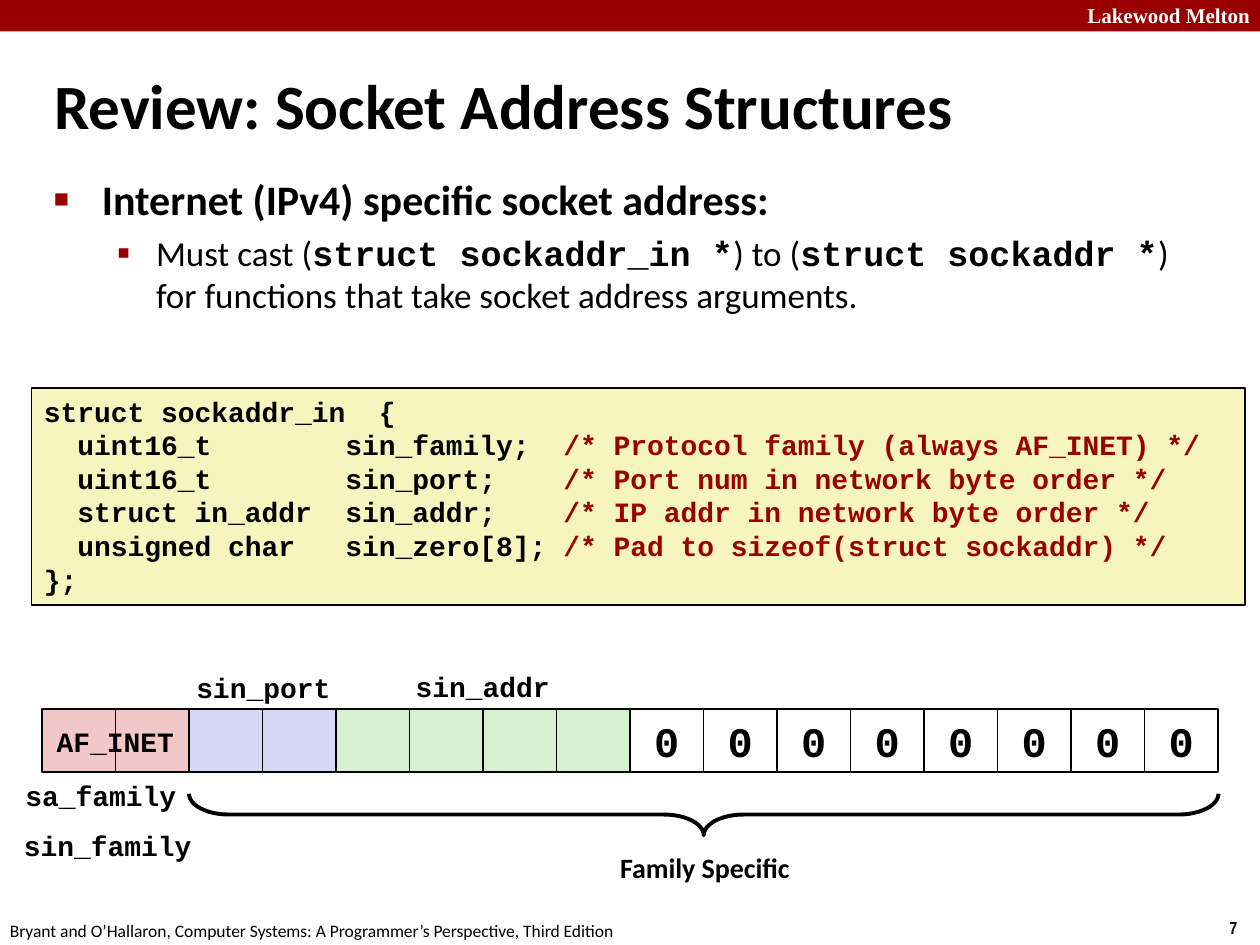
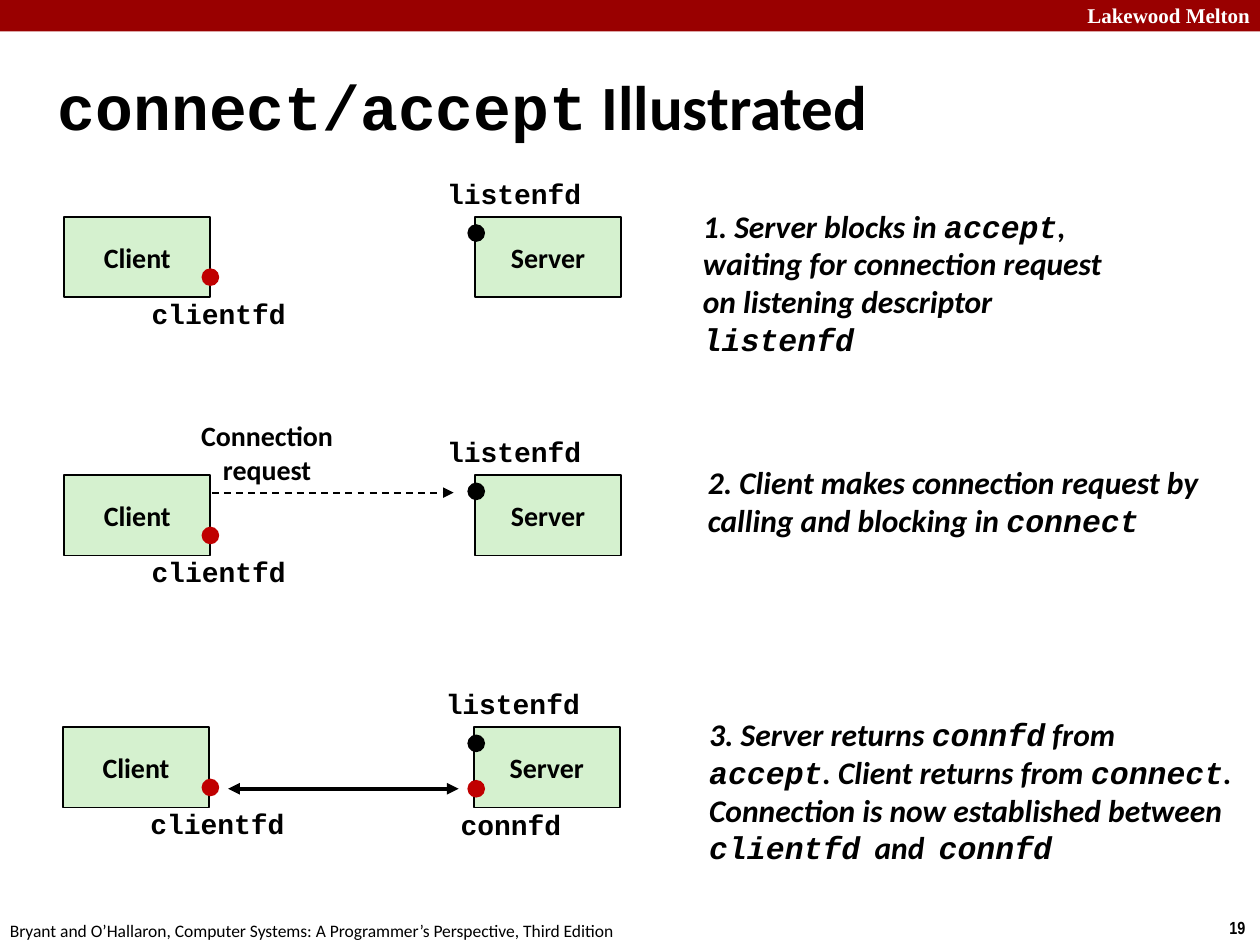
from dataclasses import dataclass

from lxml import etree
from pptx import Presentation
from pptx import util as u
from pptx.dml import color as dml
from pptx.enum import dml as lines, shapes, text
from pptx.oxml import ns


@dataclass(frozen=True)
class Theme:
    black: str = "000000"
    white: str = "FFFFFF"
    red: str = "990000"
    dot_red: str = "C00000"
    pink: str = "F1C7C7"
    lilac: str = "D6D6F5"
    green: str = "D5F1CF"
    cream: str = "F6F5BD"
    sans: str = "Calibri"
    code: str = "Courier New"
    serif: str = "Times New Roman"
    narrow: str = "Arial Narrow"
    title: int = 36
    heading: int = 24
    body: int = 20
    note: int = 18
    label: int = 16
    brand: int = 12
    footer: int = 10


THEME = Theme()
LEFT, CENTER, RIGHT = text.PP_ALIGN.LEFT, text.PP_ALIGN.CENTER, text.PP_ALIGN.RIGHT
TOP, MIDDLE = text.MSO_ANCHOR.TOP, text.MSO_ANCHOR.MIDDLE


def rgb(value):
    return dml.RGBColor.from_string(value)


def inches(box):
    return [u.Inches(value) for value in box]


def fill_paragraph(paragraph, line, size, font=THEME.sans, color=THEME.black, bold=True,
                   italic=False, align=LEFT, marked_color=None):
    paragraph.alignment = align
    for index, part in enumerate(line.split("`")):
        if not part:
            continue
        marked = index % 2 == 1
        run = paragraph.add_run()
        run.text = part
        run.font.name = THEME.code if marked else font
        run.font.size = u.Pt(size)
        run.font.bold = bold or marked
        run.font.italic = italic
        run.font.color.rgb = rgb(marked_color if marked and marked_color else color)


def write(shape, content, size, anchor=TOP, wrap=True, **style):
    frame = shape.text_frame
    frame.word_wrap = wrap
    frame.auto_size = text.MSO_AUTO_SIZE.NONE
    frame.vertical_anchor = anchor
    for index, line in enumerate(content.split("\n")):
        paragraph = frame.add_paragraph() if index else frame.paragraphs[0]
        fill_paragraph(paragraph, line, size, **style)


def add_text(slide, box, content, size, **style):
    shape = slide.shapes.add_textbox(*inches(box))
    write(shape, content, size, **style)
    return shape


def add_label(slide, box, content, font=THEME.code):
    add_text(slide, box, content, THEME.label, font=font, anchor=MIDDLE, wrap=False,
             align=CENTER)


def add_figure(slide, kind, box, fill=None, line=None, width=1):
    shape = slide.shapes.add_shape(kind, *inches(box))
    shape.shadow.inherit = False
    if fill:
        shape.fill.solid()
        shape.fill.fore_color.rgb = rgb(fill)
    else:
        shape.fill.background()
    if line:
        shape.line.color.rgb = rgb(line)
        shape.line.width = u.Pt(width)
    else:
        shape.line.fill.background()
    return shape


def add_box(slide, box, fill, line=THEME.black):
    return add_figure(slide, shapes.MSO_SHAPE.RECTANGLE, box, fill, line)


def add_dot(slide, left, top, fill):
    add_figure(slide, shapes.MSO_SHAPE.OVAL, (left, top, 0.14, 0.14), fill)


def add_arrow(slide, start, end, y, width, dashed=False, both_ends=False):
    arrow = slide.shapes.add_connector(shapes.MSO_CONNECTOR.STRAIGHT,
                                       *inches((start, y, end, y)))
    arrow.line.color.rgb = rgb(THEME.black)
    arrow.line.width = u.Pt(width)
    if dashed:
        arrow.line.dash_style = lines.MSO_LINE.DASH
    outline = arrow.line._get_or_add_ln()
    for tag in ("a:headEnd", "a:tailEnd") if both_ends else ("a:tailEnd",):
        etree.SubElement(outline, ns.qn(tag), type="triangle")
    etree.SubElement(arrow._element.spPr, ns.qn("a:effectLst"))


def set_bullet(paragraph, character, percent, margin, hanging):
    properties = paragraph._p.get_or_add_pPr()
    properties.set("marL", str(u.Inches(margin)))
    properties.set("indent", str(-u.Inches(hanging)))
    color = etree.SubElement(properties, ns.qn("a:buClr"))
    etree.SubElement(color, ns.qn("a:srgbClr"), val=THEME.red)
    etree.SubElement(properties, ns.qn("a:buSzPct"), val=str(percent * 1000))
    etree.SubElement(properties, ns.qn("a:buFont"), typeface="Arial")
    etree.SubElement(properties, ns.qn("a:buChar"), char=character)


def start_slide(presentation, title, title_box, number):
    slide = presentation.slides.add_slide(presentation.slide_layouts[5])
    add_box(slide, (0, 0, 10, 0.25), THEME.red, line=None)
    add_text(slide, (8.4, -0.03, 1.62, 0.3), "Lakewood Melton", THEME.brand,
             font=THEME.serif, color=THEME.white, wrap=False, align=RIGHT)
    add_text(slide, (9.66, 7.23, 0.34, 0.27), str(number), THEME.footer,
             font=THEME.narrow, wrap=False)
    add_text(slide, (-0.02, 7.25, 5.08, 0.27),
             "Bryant and O’Hallaron, Computer Systems: A Programmer’s Perspective, "
             "Third Edition", THEME.footer, bold=False, wrap=False)
    heading = slide.shapes.title
    heading.left, heading.top, heading.width, heading.height = inches(title_box)
    write(heading, title, THEME.title, anchor=MIDDLE)
    return slide


def add_bullets(slide):
    shape = add_text(slide, (0.33, 1.33, 9.09, 1.83),
                     "Internet (IPv4) specific socket address:", THEME.heading)
    first = shape.text_frame.paragraphs[0]
    first.space_before = u.Pt(0.2 * THEME.heading)
    set_bullet(first, "■", 60, 0.38, 0.38)
    second = shape.text_frame.add_paragraph()
    second.level = 1
    fill_paragraph(second, "Must cast (`struct sockaddr_in *`) to (`struct sockaddr *`) "
                   "for functions that take socket address arguments.",
                   THEME.body, bold=False)
    second.space_before = u.Pt(0.2 * THEME.body)
    set_bullet(second, "▪", 110, 0.81, 0.31)


def add_struct_listing(slide):
    members = [
        ("uint16_t", "sin_family;", "Protocol family (always AF_INET)"),
        ("uint16_t", "sin_port;", "Port num in network byte order"),
        ("struct in_addr", "sin_addr;", "IP addr in network byte order"),
        ("unsigned char", "sin_zero[8];", "Pad to sizeof(struct sockaddr)"),
    ]
    body = [f"  {kind:<16}{name:<13}`/* {comment} */`" for kind, name, comment in members]
    listing = "\n".join(["struct sockaddr_in  {", *body, "};"])
    write(add_box(slide, (0.25, 3.08, 9.63, 1.72), THEME.cream), listing, THEME.label,
          font=THEME.code, marked_color=THEME.red)


def add_byte_layout(slide):
    pitch = 7 / 12
    fills = [THEME.pink] * 2 + [THEME.lilac] * 2 + [THEME.green] * 4 + [THEME.white] * 8
    for index, fill in enumerate(fills):
        cell = add_box(slide, (1 / 3 + index * pitch, 5.63, pitch, 0.5), fill)
        if fill == THEME.white:
            write(cell, "0", THEME.heading, font=THEME.code, anchor=MIDDLE, align=CENTER)
    brace = add_figure(slide, shapes.MSO_SHAPE.RIGHT_BRACE, (5.42, 2.38, 0.33, 8.17),
                       line=THEME.black, width=2.25)
    brace.rotation = 90
    brace.adjustments[0] = 0.958
    brace.adjustments[1] = 0.5
    for name, left, top, width in [
        ("sin_port", 1.45, 5.27, 1.28),
        ("sin_addr", 3.19, 5.26, 1.28),
        ("AF_INET", 0.34, 5.7, 1.15),
        ("sa_family", 0.1, 6.13, 1.4),
        ("sin_family", 0.08, 6.52, 1.55),
    ]:
        add_label(slide, (left, top, width, 0.37), name)
    add_label(slide, (4.81, 6.7, 1.57, 0.37), "Family Specific", THEME.sans)


def add_client_server(slide, left, top, note, note_box):
    add_label(slide, (left + 2.93, top - 0.37, 1.28, 0.37), "listenfd")
    for name, offset in [("Client", 0), ("Server", 3.26)]:
        host = add_box(slide, (left + offset, top, 1.16, 0.64), THEME.green)
        write(host, name, THEME.label, anchor=MIDDLE, wrap=False, align=CENTER)
    add_label(slide, (left + 0.59, top + 0.58, 1.27, 0.37), "clientfd")
    add_dot(slide, 1.6, top + 0.41, THEME.dot_red)
    add_dot(slide, 3.71, top + 0.06, THEME.black)
    add_text(slide, note_box, note, THEME.note, italic=True, anchor=MIDDLE)


def build_structures(presentation):
    slide = start_slide(presentation, "Review: Socket Address Structures",
                        (0.33, 0.4, 9.53, 0.85), 7)
    add_bullets(slide)
    add_struct_listing(slide)
    add_byte_layout(slide)


def build_connection(presentation):
    slide = start_slide(presentation, "`connect/accept` Illustrated",
                        (0.36, 0.52, 9.17, 0.63), 19)
    add_client_server(slide, 0.51, 1.72,
                      "1. Server blocks in `accept`, waiting for connection request "
                      "on listening descriptor `listenfd`", (5.48, 1.59, 3.6, 1.3))
    add_client_server(slide, 0.51, 3.77,
                      "2. Client makes connection request by calling and blocking in "
                      "`connect`", (5.52, 3.62, 4.23, 0.71))
    add_client_server(slide, 0.5, 5.77,
                      "3. Server returns `connfd` from `accept`. Client returns from "
                      "`connect`. Connection is now established between "
                      "`clientfd`  and  `connfd`", (5.53, 5.62, 4.39, 1.31))
    add_label(slide, (1.49, 3.27, 1.26, 0.64), "Connection\nrequest", THEME.sans)
    add_arrow(slide, 1.68, 3.6, 3.91, 1, dashed=True)
    add_dot(slide, 3.71, 6.19, THEME.dot_red)
    add_label(slide, (3.55, 6.36, 1.01, 0.37), "connfd")
    add_arrow(slide, 1.81, 3.64, 6.26, 2.25, both_ends=True)


def main():
    presentation = Presentation()
    presentation.slide_width = u.Inches(10)
    presentation.slide_height = u.Inches(7.5)
    build_structures(presentation)
    build_connection(presentation)
    presentation.save("out.pptx")


main()
